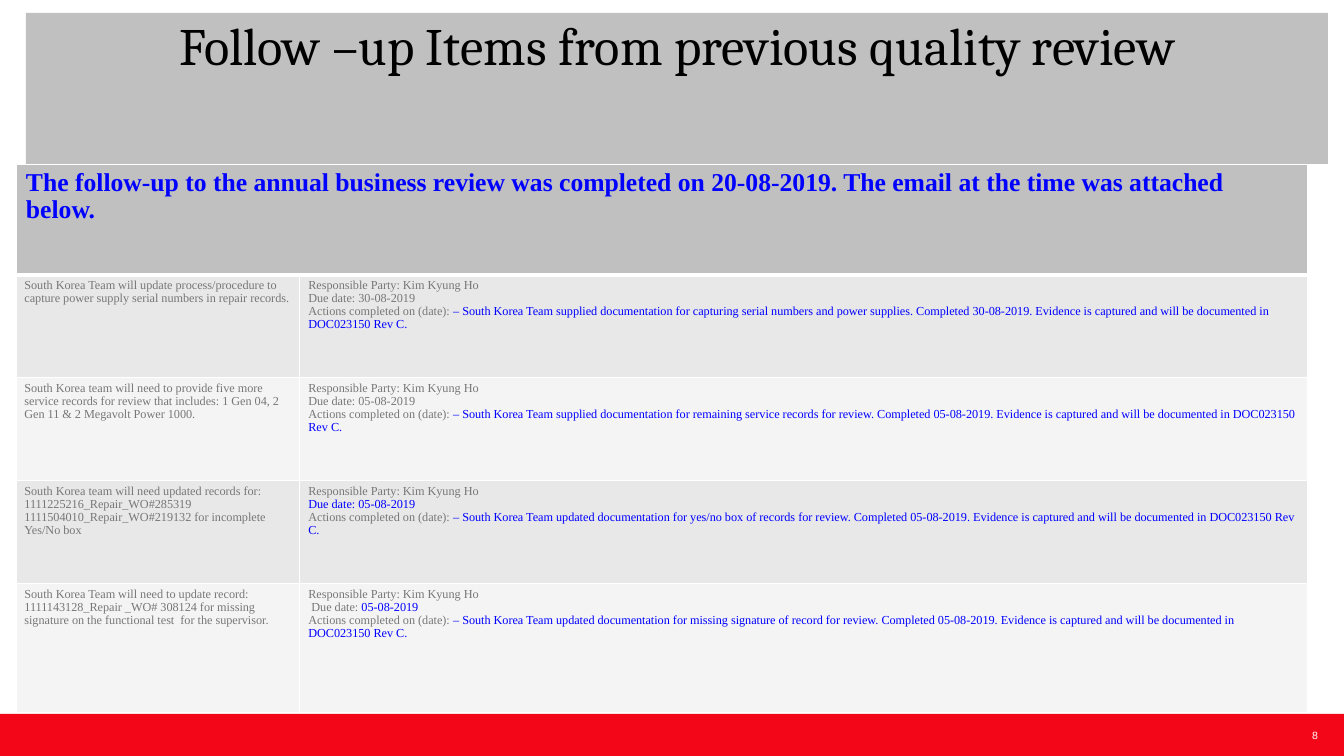
from lxml import etree
from pptx import Presentation
from pptx import util as u
from pptx.dml.color import RGBColor
from pptx.enum import shapes, text
from pptx.oxml.ns import qn

PX = 914400 / 84
COLORS = {
    "black": "000000", "white": "FFFFFF", "red": "F30617", "silver": "C0C0C0",
    "blue": "0000FF", "gray": "777777", "odd": "E8E8E8", "even": "F4F4F4",
}
TITLE = "Follow –up Items from previous quality review"
SUMMARY = ("The follow-up to the annual business review was completed on 20-08-2019. "
           "The email at the time was attached below.")
OWNER = "Responsible Party: Kim Kyung Ho"

# request, runs of the due date, work supplied, completion date
ITEMS = [
    ("South Korea Team will update process/procedure to capture power supply "
     "serial numbers in repair records.",
     [("Due date: 30-08-2019", "gray")],
     "supplied documentation for capturing serial numbers and power supplies", "30-08-2019"),
    ("South Korea team will need to provide five more service records for review "
     "that includes: 1 Gen 04, 2 Gen 11 & 2 Megavolt Power 1000.",
     [("Due date: 05-08-2019", "gray")],
     "supplied documentation for remaining service records for review", "05-08-2019"),
    ("South Korea team will need updated records for: 1111225216_Repair_WO#285319 "
     "1111504010_Repair_WO#219132 for incomplete Yes/No box",
     [("Due date: 05-08-2019", "blue")],
     "updated documentation for yes/no box of records for review", "05-08-2019"),
    ("South Korea Team will need to update record: 1111143128_Repair _WO# 308124 "
     "for missing signature on the functional test  for the supervisor.",
     [(" Due date: ", "gray"), ("05-08-2019", "blue")],
     "updated documentation for missing signature of record for review", "05-08-2019"),
]


def px(length):
    return u.Emu(round(length * PX))


def rgb(color):
    return RGBColor.from_string(COLORS[color])


class ReviewSlide:
    def __init__(self, deck):
        self.slide = deck.slides.add_slide(deck.slide_layouts[5])
        self.body_font = "Times New Roman"

    def style(self, paragraph, font, size, color=None, bold=False):
        paragraph.font.name = font
        paragraph.font.size = u.Pt(size)
        paragraph.font.bold = bold
        if color:
            paragraph.font.color.rgb = rgb(color)

    def frame(self, holder):
        holder.margin_left = holder.margin_right = 0
        holder.margin_top = holder.margin_bottom = 0
        holder.auto_size = text.MSO_AUTO_SIZE.NONE

    def title(self, wording, box):
        title = self.slide.shapes.title
        title.left, title.top, title.width, title.height = map(px, box)
        title.fill.solid()
        title.fill.fore_color.rgb = rgb("silver")
        holder = title.text_frame
        self.frame(holder)
        holder.vertical_anchor = text.MSO_ANCHOR.TOP
        holder.text = wording
        heading = holder.paragraphs[0]
        heading.alignment = text.PP_ALIGN.CENTER
        self.style(heading, "Cambria", 45, "black")

    def band(self, box, color):
        band = self.slide.shapes.add_shape(shapes.MSO_SHAPE.RECTANGLE, *map(px, box))
        band.shadow.inherit = False
        band.fill.solid()
        band.fill.fore_color.rgb = rgb(color)
        band.line.fill.background()

    def page_number(self, number, box):
        holder = self.slide.shapes.add_textbox(*map(px, box)).text_frame
        self.frame(holder)
        holder.word_wrap = False
        holder.vertical_anchor = text.MSO_ANCHOR.MIDDLE
        holder.text = number
        holder.paragraphs[0].alignment = text.PP_ALIGN.RIGHT
        self.style(holder.paragraphs[0], "Arial", 9, "white")

    def table(self, origin, widths, heights):
        size = (sum(widths), sum(heights))
        table = self.slide.shapes.add_table(
            len(heights), len(widths), *map(px, origin + size)).table
        table.first_row = table.horz_banding = False
        for column, width in zip(table.columns, widths):
            column.width = px(width)
        for row, height in zip(table.rows, heights):
            row.height = px(height)
        return table

    def cell(self, cell, fill, top=1, bottom=1):
        """Give the cell white borders, with widths in points, and a fill."""
        properties = cell._tc.get_or_add_tcPr()
        for side, width in (("L", 1), ("R", 1), ("T", top), ("B", bottom)):
            border = etree.SubElement(properties, qn(f"a:ln{side}"), w=str(u.Pt(width)))
            paint = etree.SubElement(border, qn("a:solidFill"))
            etree.SubElement(paint, qn("a:srgbClr"), val=COLORS["white"])
        cell.fill.solid()
        cell.fill.fore_color.rgb = rgb(fill)

    def cell_text(self, cell, paragraphs, size=10.5, bold=False):
        """Fill the cell with paragraphs, each a list of (wording, color) runs."""
        holder = cell.text_frame
        for index, runs in enumerate(paragraphs):
            paragraph = holder.add_paragraph() if index else holder.paragraphs[0]
            paragraph.line_spacing = 0.95
            shared = runs[0][1] if len(runs) == 1 else None
            self.style(paragraph, self.body_font, size, shared, bold)
            for wording, color in runs:
                run = paragraph.add_run()
                run.text = wording
                if not shared:
                    run.font.color.rgb = rgb(color)


def main():
    deck = Presentation()
    deck.slide_width, deck.slide_height = px(1344), px(756)
    review = ReviewSlide(deck)
    review.band((0, 714, 1344, 42), "red")
    review.page_number("8", (1281, 714, 37, 42))
    review.title(TITLE, (26, 13, 1302, 151))

    followups = review.table((16, 165), (284, 1008), (110, 103, 103, 103, 129))
    summary = followups.cell(0, 0)
    summary.merge(followups.cell(0, 1))
    summary.margin_left = summary.margin_right = px(10)
    summary.margin_top = summary.margin_bottom = px(5)
    for column in range(2):
        review.cell(followups.cell(0, column), "silver", bottom=3)
    review.cell_text(summary, [[(SUMMARY, "blue")]], size=22, bold=True)

    for row, (request, due, work, completed) in enumerate(ITEMS, start=1):
        outcome = (f"– South Korea Team {work}. Completed {completed}. "
                   "Evidence is captured and will be documented in DOC023150 Rev C.")
        actions = [("Actions completed on (date): ", "gray"), (outcome, "blue")]
        contents = ([[(request, "gray")]], [[(OWNER, "gray")], due, actions])
        for column, paragraphs in enumerate(contents):
            cell = followups.cell(row, column)
            review.cell(cell, "odd" if row % 2 else "even", top=3 if row == 1 else 1)
            review.cell_text(cell, paragraphs)
    deck.save("out.pptx")


if __name__ == "__main__":
    main()
